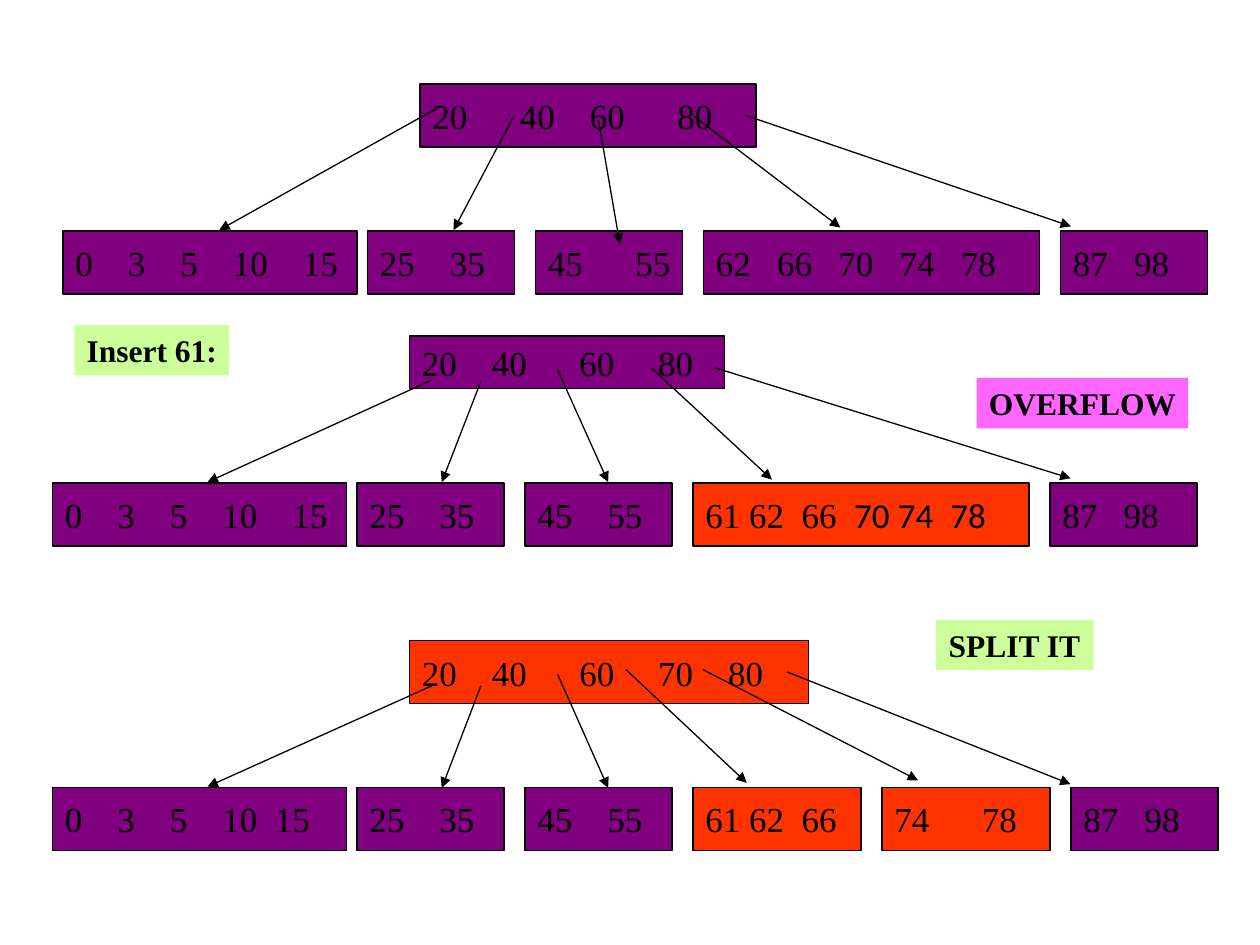
import pptx
import pptx.util
import pptx.dml.color
import pptx.enum.dml
import pptx.enum.shapes
import pptx.enum.text
import pptx.oxml
import pptx.oxml.ns
from pptx.util import Inches

RGBColor = pptx.dml.color.RGBColor
BLACK = RGBColor(0x00, 0x00, 0x00)
PURPLE = RGBColor(0x80, 0x00, 0x80)
RED = RGBColor(0xFF, 0x33, 0x00)
GREEN = RGBColor(0xCC, 0xFF, 0x99)
PINK = RGBColor(0xFF, 0x66, 0xFF)

CELL = Inches(1) / 12  # the grid that nodes stand on
SPACE = pptx.util.Pt(5)  # a space at 20 pt; a digit is two of these
EDGE = pptx.util.Pt(0.75)
SERIF, SANS = "Times New Roman", "Calibri"
MIDDLE = pptx.enum.text.MSO_ANCHOR.MIDDLE
TOP = pptx.enum.text.MSO_ANCHOR.TOP
NODE_FRAME = dict(margin_right=0, word_wrap=True, vertical_anchor=MIDDLE)
LABEL_FRAME = dict(word_wrap=False, vertical_anchor=TOP)
NODE_FONT = dict(name=SERIF, size=pptx.util.Pt(20))
LABEL_FONT = dict(name=SERIF, size=pptx.util.Pt(18), bold=True)

# Leaves: width in cells, keys, gaps between keys in spaces, fill
LOW = (28, "0 3 5 10 15", (4, 4, 4, 4), PURPLE)
TWENTY = (14, "25 35", (4,), PURPLE)
FORTY = (14, "45 55", (4,), PURPLE)
HIGH = (14, "87 98", (3,), PURPLE)

# Trees: left and top in cells, root height, root, leaves,
# arrows in inches from the corner of the tree
TREES = [
    (6, 8, 6, (32, "20 40 60 80", (6, 4, 6), PURPLE),
     [LOW, TWENTY, (14, "45 55", (6,), PURPLE),
      (32, "62 66 70 74 78", (3, 3, 3, 3), PURPLE), HIGH],
     [(2.99, 0.18, 1.24, 1.16), (3.57, 0.27, 3.1, 1.16),
      (4.25, 0.29, 4.42, 1.27), (5, 0.25, 6.17, 1.14),
      (5.42, 0.25, 8, 1.13)]),
    (5, 32, 5, (30, "20 40 60 80", (4, 6, 5), PURPLE),
     [LOW, TWENTY, FORTY,
      (32, "61 62 66 70 74 78", (1, 2, 2, 1, 2), RED, 3), HIGH],
     [(3.01, 0.35, 1.23, 1.16), (3.4, 0.36, 3.09, 1.16),
      (4.01, 0.27, 4.41, 1.16), (4.75, 0.25, 5.71, 1.14),
      (5.25, 0.25, 8.08, 1.13)]),
    (5, 61, 6, (38, "20 40 60 70 80", (4, 6, 5, 4), RED),
     [(28, "0 3 5 10 15", (4, 4, 4, 2), PURPLE), TWENTY, FORTY,
      (16, "61 62 66", (1, 2), RED), (16, "74 78", (6,), RED), HIGH],
     [(3.01, 0.36, 1.23, 1.16), (3.4, 0.36, 3.09, 1.17),
      (4.01, 0.27, 4.41, 1.17), (4.55, 0.23, 5.51, 1.13),
      (5.16, 0.23, 6.87, 1.11), (5.83, 0.25, 8.08, 1.14)]),
]

LABELS = [
    ("Insert 61:", 0.59, 2.58, 1.23, GREEN),
    ("OVERFLOW", 7.75, 3, 1.68, PINK),
    ("SPLIT IT", 7.43, 4.92, 1.25, GREEN),
]


def style(part, form):
    for name, value in form.items():
        setattr(part, name, value)


def add_box(slide, box, fill, frame):
    shape = slide.shapes.add_shape(
        pptx.enum.shapes.MSO_SHAPE.RECTANGLE, *(round(side) for side in box))
    shape.shadow.inherit = False
    shape.fill.solid()
    shape.fill.fore_color.rgb = fill
    style(shape.text_frame, frame)
    shape.text_frame.paragraphs[0].alignment = pptx.enum.text.PP_ALIGN.LEFT
    return shape


def add_run(para, text, form):
    run = para.add_run()
    run.text = text
    style(run.font, form)
    run.font.color.rgb = BLACK


def set_tabs(para, keys, gaps):
    """Put a tab stop where each key after the first starts."""
    stops = pptx.oxml.parse_xml(
        "<a:tabLst %s/>" % pptx.oxml.ns.nsdecls("a"))
    place = 0
    for key, gap in zip(keys, gaps):
        place += 2 * len(key) + gap
        stop = stops.makeelement(pptx.oxml.ns.qn("a:tab"),
                                 {"pos": str(place * SPACE), "algn": "l"})
        stops.append(stop)
    para._p.get_or_add_pPr().append(stops)


def add_node(slide, left, top, height, width, text, gaps, fill, split=None):
    box = [side * CELL for side in (left, top, width, height)]
    shape = add_box(slide, box, fill, NODE_FRAME)
    shape.line.color.rgb = BLACK
    shape.line.width = EDGE
    keys = text.split()
    para = shape.text_frame.paragraphs[0]
    set_tabs(para, keys, gaps)
    # Keys from the split on are set in the sans font
    if split:
        add_run(para, "\t".join(keys[:split]) + "\t", NODE_FONT)
        add_run(para, "\t".join(keys[split:]), {**NODE_FONT, "name": SANS})
    else:
        add_run(para, "\t".join(keys), NODE_FONT)


def add_arrow(slide, left, top, ends):
    base = (left * CELL, top * CELL) * 2
    line = slide.shapes.add_connector(
        pptx.enum.shapes.MSO_CONNECTOR.STRAIGHT,
        *(round(start + Inches(end)) for start, end in zip(base, ends)))
    line.line.color.rgb = BLACK
    line.line.width = EDGE
    names = pptx.oxml.ns.nsdecls("a")
    line.line._get_or_add_ln().append(
        pptx.oxml.parse_xml('<a:tailEnd %s type="triangle"/>' % names))
    line._element.spPr.append(
        pptx.oxml.parse_xml("<a:effectLst %s/>" % names))


def add_tree(slide, left, top, height, root, leaves, arrows):
    # Root
    add_node(slide, left + 34, top, height, *root)
    # Leaves: one cell after the first, two after the others
    place = left
    for index, leaf in enumerate(leaves):
        add_node(slide, place, top + 14, 6, *leaf)
        place += leaf[0] + (2 if index else 1)
    # Arrows
    for ends in arrows:
        add_arrow(slide, left, top, ends)


def add_label(slide, text, left, top, width, fill):
    box = [Inches(side) for side in (left, top, width, 0.4)]
    shape = add_box(slide, box, fill, LABEL_FRAME)
    shape.line.fill.background()
    add_run(shape.text_frame.paragraphs[0], text, LABEL_FONT)


def main():
    deck = pptx.Presentation()
    deck.slide_width, deck.slide_height = Inches(10), Inches(7.5)
    slide = deck.slides.add_slide(deck.slide_layouts[6])
    for tree in TREES:
        add_tree(slide, *tree)
    for label in LABELS:
        add_label(slide, *label)
    deck.save("out.pptx")


if __name__ == "__main__":
    main()
